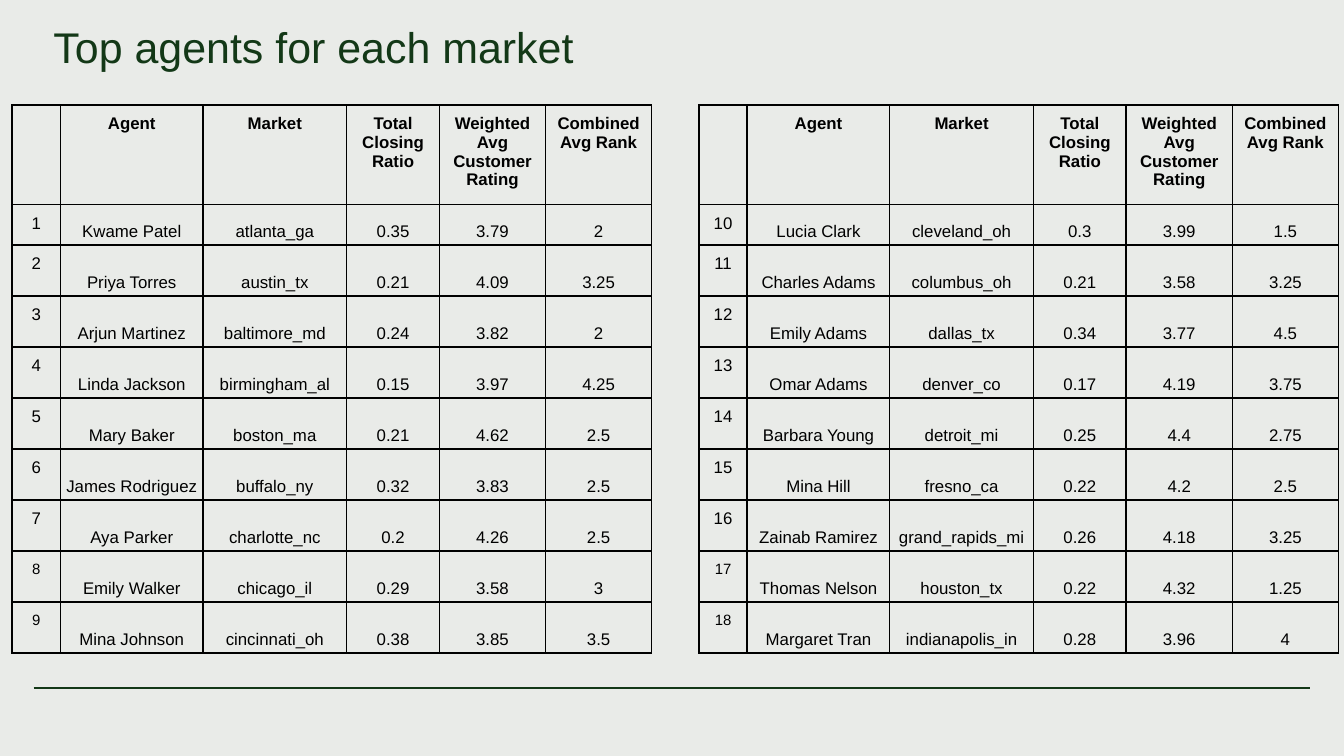
from dataclasses import dataclass

from lxml import etree
from pptx import Presentation
from pptx.dml.color import RGBColor
from pptx.enum import shapes, text
from pptx.oxml import ns
from pptx.util import Inches, Pt


@dataclass(frozen=True)
class Theme:
    font: str = "Arial"
    background: str = "E9EBE8"
    accent: str = "133817"
    ink: str = "000000"
    title_size: int = 23
    body_size: int = 9
    small_size: int = 8
    rule_width: float = 0.75
    border_width: int = 1


THEME = Theme()

TABLE_SIZE = 3.28
COLUMN_WIDTHS = [0.36, 1.06, 1.07, 0.69, 0.79, 0.79]
HEADER_HEIGHT, FIRST_ROW_HEIGHT, ROW_HEIGHT = 0.53, 0.3, 0.38
HEADERS = ["", "Agent", "Market", "Total Closing Ratio",
           "Weighted Avg Customer Rating", "Combined Avg Rank"]

# Agent, market, closing ratio, customer rating, combined rank
AGENTS = [
    ("Kwame Patel", "atlanta_ga", "0.35", "3.79", "2"),
    ("Priya Torres", "austin_tx", "0.21", "4.09", "3.25"),
    ("Arjun Martinez", "baltimore_md", "0.24", "3.82", "2"),
    ("Linda Jackson", "birmingham_al", "0.15", "3.97", "4.25"),
    ("Mary Baker", "boston_ma", "0.21", "4.62", "2.5"),
    ("James Rodriguez", "buffalo_ny", "0.32", "3.83", "2.5"),
    ("Aya Parker", "charlotte_nc", "0.2", "4.26", "2.5"),
    ("Emily Walker", "chicago_il", "0.29", "3.58", "3"),
    ("Mina Johnson", "cincinnati_oh", "0.38", "3.85", "3.5"),
    ("Lucia Clark", "cleveland_oh", "0.3", "3.99", "1.5"),
    ("Charles Adams", "columbus_oh", "0.21", "3.58", "3.25"),
    ("Emily Adams", "dallas_tx", "0.34", "3.77", "4.5"),
    ("Omar Adams", "denver_co", "0.17", "4.19", "3.75"),
    ("Barbara Young", "detroit_mi", "0.25", "4.4", "2.75"),
    ("Mina Hill", "fresno_ca", "0.22", "4.2", "2.5"),
    ("Zainab Ramirez", "grand_rapids_mi", "0.26", "4.18", "3.25"),
    ("Thomas Nelson", "houston_tx", "0.22", "4.32", "1.25"),
    ("Margaret Tran", "indianapolis_in", "0.28", "3.96", "4"),
]
ROWS_PER_TABLE = 9


def add_run(p, content, size, color, bold=False):
    r = p.add_run()
    r.text = content
    r.font.name = THEME.font
    r.font.size = Pt(size)
    r.font.bold = bold
    r.font.color.rgb = RGBColor.from_string(color)


def set_insets(box, inset):
    box.margin_left = box.margin_right = Inches(inset)
    box.margin_top = box.margin_bottom = Inches(inset)


def add_borders(cell):
    # Borders come before the fill in the cell properties
    props = cell._tc.get_or_add_tcPr()
    for index, side in enumerate(("lnL", "lnR", "lnT", "lnB")):
        line = etree.Element(ns.qn(f"a:{side}"), w=str(Pt(THEME.border_width)))
        fill = etree.SubElement(line, ns.qn("a:solidFill"))
        etree.SubElement(fill, ns.qn("a:srgbClr"), val=THEME.ink)
        props.insert(index, line)


def fill_cell(cell, content, inset, size, bold=False, data=False):
    cell.fill.background()
    add_borders(cell)
    set_insets(cell, inset)
    cell.vertical_anchor = text.MSO_ANCHOR.BOTTOM if data else text.MSO_ANCHOR.TOP
    p = cell.text_frame.paragraphs[0]
    if not content:
        p.font.size = Pt(size)
        return
    p.alignment = text.PP_ALIGN.CENTER
    if data:
        p.line_spacing = 1.15
    add_run(p, content, size, THEME.ink, bold)


def add_title(s, left, top, width, height):
    box = s.shapes.add_textbox(Inches(left), Inches(top), Inches(width), Inches(height))
    tf = box.text_frame
    tf.word_wrap = True
    set_insets(tf, 0.1)
    add_run(tf.paragraphs[0], "Top agents for each market", THEME.title_size, THEME.accent)


def add_agent_table(s, left, top, size, agents, first_rank):
    heights = [HEADER_HEIGHT, FIRST_ROW_HEIGHT] + [ROW_HEIGHT] * (len(agents) - 1)
    frame = s.shapes.add_table(len(heights), len(COLUMN_WIDTHS), Inches(left), Inches(top),
                               Inches(size), Inches(size))
    table = frame.table
    table.first_row = table.horz_banding = False
    for column, width in zip(table.columns, COLUMN_WIDTHS):
        column.width = Inches(width)
    for row, height in zip(table.rows, heights):
        row.height = Inches(height)
    # Rows and columns keep their own sizes inside the square frame
    frame.width = frame.height = Inches(size)

    # Header row
    for col, header in enumerate(HEADERS):
        fill_cell(table.cell(0, col), header, 0.07, THEME.body_size, bold=True)

    # Ranked agents; the last two rank numbers are smaller
    for row, agent in enumerate(agents, start=1):
        rank_size = THEME.small_size if row > len(agents) - 2 else THEME.body_size
        fill_cell(table.cell(row, 0), str(first_rank + row - 1), 0.07, rank_size)
        for col, value in enumerate(agent, start=1):
            fill_cell(table.cell(row, col), value, 0.03, THEME.body_size, data=True)


def add_footer_rule(s, left, top, width):
    rule = s.shapes.add_connector(shapes.MSO_CONNECTOR.STRAIGHT, Inches(left), Inches(top),
                                  Inches(left + width), Inches(top))
    rule.line.color.rgb = RGBColor.from_string(THEME.accent)
    rule.line.width = Pt(THEME.rule_width)
    etree.SubElement(rule._element.spPr, ns.qn("a:effectLst"))


def main():
    prs = Presentation()
    prs.slide_width = Inches(10)
    prs.slide_height = prs.slide_width * 9 // 16
    s = prs.slides.add_slide(prs.slide_layouts[6])
    s.background.fill.solid()
    s.background.fill.fore_color.rgb = RGBColor.from_string(THEME.background)

    add_footer_rule(s, 0.25, 5.12, 9.5)
    add_title(s, 0.3, 0.05, 9.5, 0.53)
    for index, left in enumerate((0.09, 5.2)):
        start = index * ROWS_PER_TABLE
        add_agent_table(s, left, 0.78, TABLE_SIZE, AGENTS[start:start + ROWS_PER_TABLE], start + 1)
    prs.save("out.pptx")


if __name__ == "__main__":
    main()
